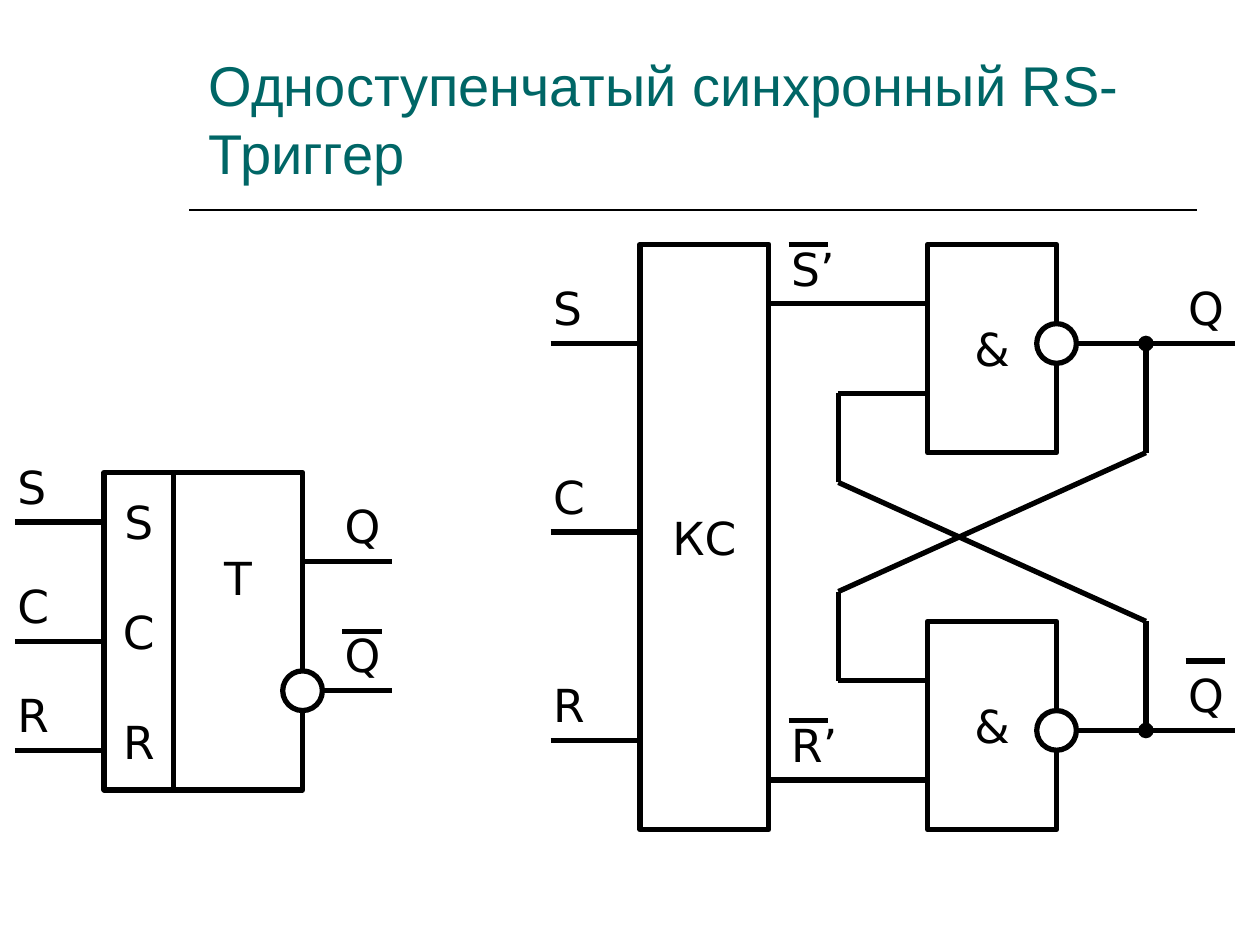
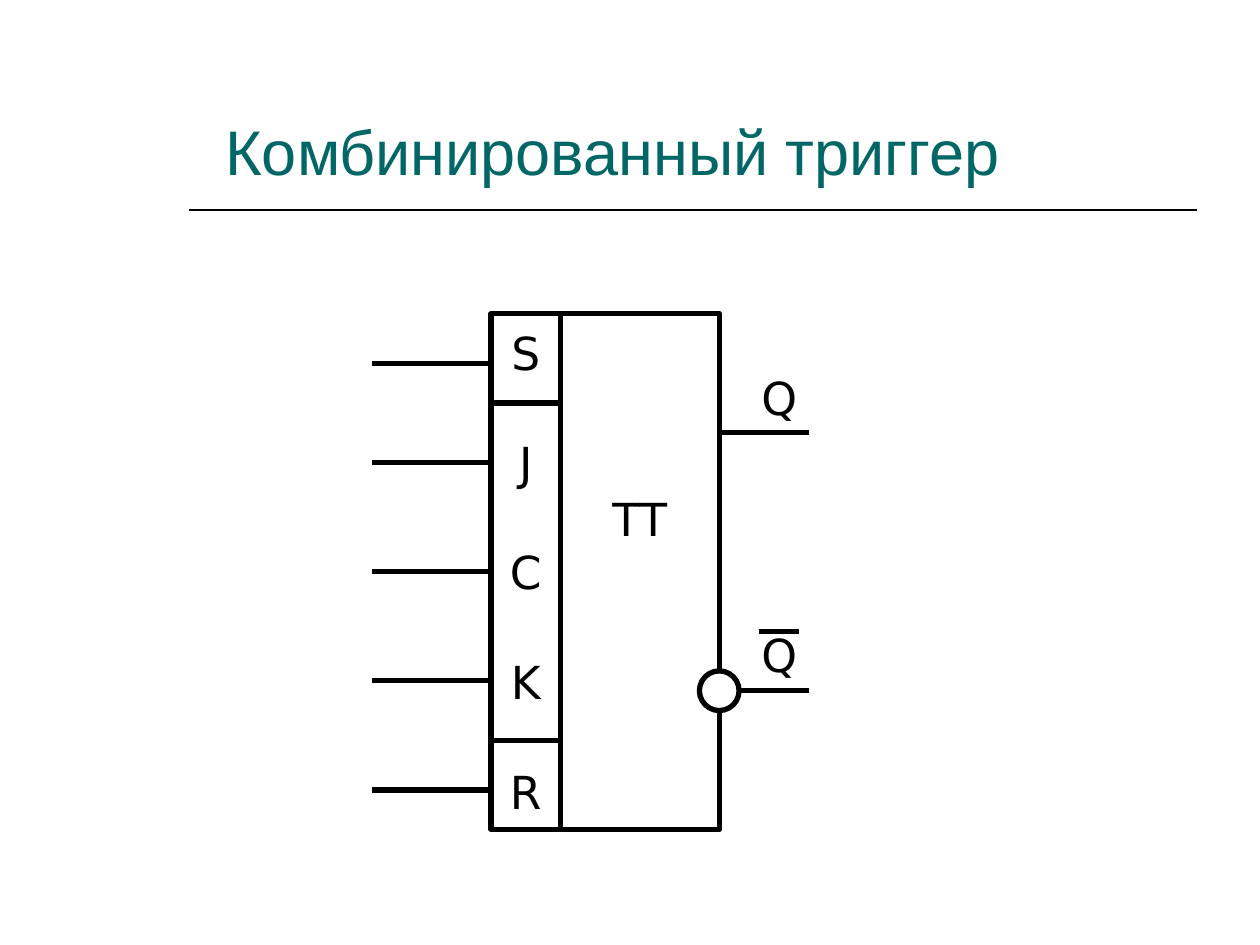
from lxml import etree
from pptx import Presentation
from pptx.dml.color import RGBColor
from pptx.enum.shapes import MSO_CONNECTOR as Link, MSO_SHAPE as Preset
from pptx.enum.text import MSO_ANCHOR as Anchor, MSO_AUTO_SIZE as Fit, PP_ALIGN as Align
from pptx.oxml.ns import qn
from pptx.util import Inches, Mm, Pt

COLORS = {"title": "006666", "ink": "000000", "paper": "FFFFFF"}
TITLE_FONT, LABEL_FONT = "Arial", "DejaVu Sans"
LABEL_SIZE, STROKE = 26, 3
ROW_SHIFT = 0.25
LABEL_HEIGHT = 14
BUBBLE_RADIUS = 4
STACK_GAP = 31.5
RAISED_INSET = 22.8


def color(name):
    """Return a named colour of the palette."""
    return RGBColor.from_string(COLORS[name])


def col(x):
    """Return the place of a column on the millimetre grid."""
    return Mm(x)


def row(y):
    """Return the place of a row on the millimetre grid."""
    return Mm(y + ROW_SHIFT)


def style_text(frame, font, size, ink="ink", align=Align.LEFT):
    """Format every run of a text frame."""
    for para in frame.paragraphs:
        para.alignment = align
        for span in para.runs:
            span.font.name = font
            span.font.size = Pt(size)
            span.font.color.rgb = color(ink)


def add_wire(page, x1, y1, x2, y2, width=STROKE, dot=False):
    """Draw a straight wire, with a junction dot at its start if asked."""
    wire = page.shapes.add_connector(Link.STRAIGHT, col(x1), row(y1), col(x2), row(y2))
    wire.line.color.rgb = color("ink")
    wire.line.width = Pt(width)
    etree.SubElement(wire._element.spPr, qn("a:effectLst"))
    if dot:
        outline = wire.line._get_or_add_ln()
        etree.SubElement(outline, qn("a:headEnd"), type="oval")


def add_path(page, *points):
    """Draw wires through a chain of points."""
    for start, end in zip(points, points[1:]):
        add_wire(page, *start, *end)


def add_outline(page, preset, x, y, width, height):
    """Draw a white shape with a black outline."""
    shape = page.shapes.add_shape(preset, col(x), row(y), Mm(width), Mm(height))
    shape.shadow.inherit = False
    shape.fill.solid()
    shape.fill.fore_color.rgb = color("paper")
    shape.line.color.rgb = color("ink")
    shape.line.width = Pt(STROKE)
    return shape


def add_block(page, x, y, width, height, names, raised=False):
    """Draw a logic block with its names stacked in the middle or raised."""
    frame = add_outline(page, Preset.RECTANGLE, x, y, width, height).text_frame
    frame.text = "\n".join(names)
    frame.word_wrap = False
    frame.vertical_anchor = Anchor.MIDDLE
    if raised:
        frame.margin_bottom = Mm(RAISED_INSET)
    for para in frame.paragraphs[1:]:
        para.space_before = Pt(STACK_GAP)
    style_text(frame, LABEL_FONT, LABEL_SIZE, align=Align.CENTER)


def add_bubble(page, x, y):
    """Draw an inversion bubble around a point."""
    side = 2 * BUBBLE_RADIUS
    add_outline(page, Preset.OVAL, x - BUBBLE_RADIUS, y - BUBBLE_RADIUS, side, side)


def add_label(page, x, wire_y, name, bar=None, width=18):
    """Write a signal name above a wire, with an inversion bar if asked."""
    top = wire_y - LABEL_HEIGHT
    box = page.shapes.add_textbox(col(x), row(top), Mm(width), Mm(LABEL_HEIGHT))
    frame = box.text_frame
    frame.text = name
    frame.word_wrap = True
    frame.auto_size = Fit.SHAPE_TO_FIT_TEXT
    style_text(frame, LABEL_FONT, LABEL_SIZE)
    if bar is not None:
        add_wire(page, x + 2, top + bar, x + 10, top + bar)


def add_inputs(page, x, end, signals):
    """Draw input wires, each with its name if it has one."""
    for y, name in signals:
        add_wire(page, x, y, end, y)
        if name:
            add_label(page, x - 2, y, name)


def add_outputs(page, x, direct_y, inverse_y):
    """Draw the direct and the inverted output of a trigger."""
    for y, bar in ((direct_y, None), (inverse_y, 2)):
        add_wire(page, x, y, x + 18, y)
        add_label(page, x + 6, y, "Q", bar)
    add_bubble(page, x, inverse_y)


def add_page(deck, title, size, left, top, width, height):
    """Add a blank page with the title and its rule."""
    page = deck.slides.add_slide(deck.slide_layouts[6])
    add_wire(page, 38.1, 42.1, 241.3, 42.1, width=1)
    box = page.shapes.add_textbox(Inches(left), Inches(top), Inches(width), Inches(height))
    frame = box.text_frame
    frame.text = title
    frame.word_wrap = True
    frame.vertical_anchor = Anchor.BOTTOM
    style_text(frame, TITLE_FONT, size, "title")
    return page


def draw_trigger_symbol(page):
    """Draw the symbol of the synchronous trigger."""
    add_block(page, 21, 95, 14, 64, ["S", "C", "R"])
    add_block(page, 35, 95, 26, 64, ["T"], raised=True)
    add_inputs(page, 3, 21, [(105, "S"), (129, "С"), (151, "R")])
    add_outputs(page, 61, 113, 139)


def draw_trigger_circuit(page):
    """Draw the control circuit and the two crossed gates."""
    gates = ((69, 49, None, 14), (147, 125, 0, 12))
    for y, top, bar, width in gates:
        add_wire(page, 213, y, 249, y)
        add_block(page, 187, top, 26, 42, ["&"])
        add_bubble(page, 213, y)
        add_label(page, 237, y, "Q", bar, width)
    add_wire(page, 231, 69, 231, 91, dot=True)
    add_path(page, (231, 91), (169, 119), (169, 137), (187, 137))
    add_wire(page, 231, 147, 231, 125, dot=True)
    add_path(page, (231, 125), (169, 97), (169, 79), (187, 79))
    add_block(page, 129, 49, 26, 118, ["КС"])
    add_inputs(page, 111, 129, [(69, "S"), (107, "С"), (149, "R")])
    for y, name in ((61, "S’"), (157, "R’")):
        add_wire(page, 155, y, 187, y)
        add_label(page, 157, y, name, bar=2)


def draw_combined_trigger(page):
    """Draw the symbol of the combined trigger."""
    add_block(page, 99, 63, 14, 104, ["S", "J", "С", "K", "R"])
    add_block(page, 113, 63, 32, 104, ["TT"], raised=True)
    add_inputs(page, 75, 99, [(y, None) for y in (73, 93, 115, 137, 159)])
    add_outputs(page, 145, 87, 139)
    for y in (81, 149):
        add_wire(page, 99, y, 113, y)


def main():
    """Build and save the deck."""
    deck = Presentation()
    deck.slide_width, deck.slide_height = Inches(10), Inches(7.5)
    page = add_page(deck, "Одноступенчатый синхронный RS-Триггер", 32, 1.56, 0.39, 7.88, 1.13)
    draw_trigger_symbol(page)
    draw_trigger_circuit(page)
    page = add_page(deck, "Комбинированный триггер", 36, 1.69, 0.08, 7.84, 1.46)
    draw_combined_trigger(page)
    deck.save("out.pptx")


main()
